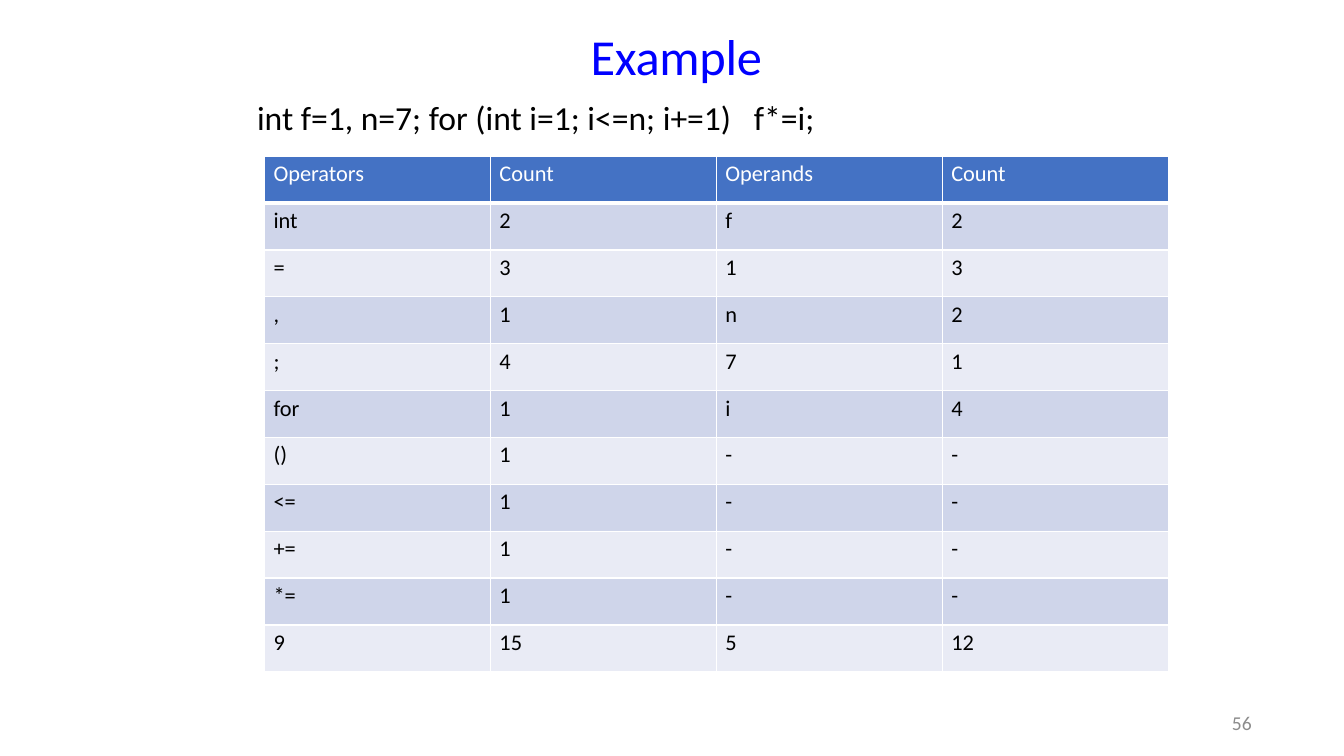
from lxml.etree import SubElement
from pptx import Presentation
from pptx.dml.color import RGBColor
from pptx.enum.text import MSO_ANCHOR, PP_ALIGN
from pptx.oxml.ns import qn
from pptx.util import Pt

COLORS = {
    "title": "0000FF",
    "text": "000000",
    "number": "8C8C8C",
    "white": "FFFFFF",
    "header": "4472C4",
    "odd": "CFD5EA",
    "even": "E9EBF5",
}

ROWS = [
    ("Operators", "Count", "Operands", "Count"),
    ("int", "2", "f", "2"),
    ("=", "3", "1", "3"),
    (",", "1", "n", "2"),
    (";", "4", "7", "1"),
    ("for", "1", "i", "4"),
    ("()", "1", "-", "-"),
    ("<=", "1", "-", "-"),
    ("+=", "1", "-", "-"),
    ("*=", "1", "-", "-"),
    ("9", "15", "5", "12"),
]


class SlideBuilder:
    """Adds styled text and tables to one slide."""

    font = "Calibri"

    def __init__(self, slide):
        self.slide = slide

    def color(self, name):
        return RGBColor.from_string(COLORS[name])

    def run(self, p, text, size, color, spacing=0):
        r = p.add_run()
        r.text = text
        r.font.name = self.font
        r.font.size = Pt(size)
        r.font.color.rgb = self.color(color)
        if spacing:
            r.font._element.set("spc", str(round(spacing * 100)))

    def text(self, box, text, size, color, align=PP_ALIGN.LEFT,
             anchor=MSO_ANCHOR.MIDDLE, spacing=0):
        sp = self.slide.shapes.add_textbox(*map(Pt, box))
        tf = sp.text_frame
        tf.word_wrap = True
        tf.vertical_anchor = anchor
        tf.margin_left = tf.margin_top = tf.margin_right = tf.margin_bottom = 0
        p = tf.paragraphs[0]
        p.alignment = align
        self.run(p, text, size, color, spacing)

    def borders(self, cell, bottom):
        tcPr = cell._tc.get_or_add_tcPr()
        widths = {"a:lnL": 1, "a:lnR": 1, "a:lnT": 1, "a:lnB": bottom}
        for i, (tag, width) in enumerate(widths.items()):
            ln = SubElement(tcPr, qn(tag), w=str(Pt(width)))
            fill = SubElement(ln, qn("a:solidFill"))
            SubElement(fill, qn("a:srgbClr"), val=COLORS["white"])
            tcPr.insert(i, ln)

    def table(self, left, top, col_width, row_height, rows):
        cols = len(rows[0])
        frame = self.slide.shapes.add_table(
            len(rows), cols, Pt(left), Pt(top),
            Pt(col_width * cols), Pt(row_height * len(rows)))
        table = frame.table
        for col in table.columns:
            col.width = Pt(col_width)
        for i, values in enumerate(rows):
            table.rows[i].height = Pt(row_height)
            fill = "header" if i == 0 else "odd" if i % 2 else "even"
            for j, value in enumerate(values):
                cell = table.cell(i, j)
                cell.margin_left = cell.margin_right = Pt(6.5)
                cell.margin_top = cell.margin_bottom = Pt(3)
                cell.fill.solid()
                cell.fill.fore_color.rgb = self.color(fill)
                self.borders(cell, 1 if i else 3)
                self.run(cell.text_frame.paragraphs[0], value, 16,
                         "text" if i else "white")


def main():
    prs = Presentation()
    prs.slide_width, prs.slide_height = Pt(960), Pt(540)
    s = SlideBuilder(prs.slides.add_slide(prs.slide_layouts[6]))
    s.text((183.6, 17.3, 599, 44), "Example", 36, "title",
           PP_ALIGN.CENTER, spacing=-0.2)
    s.text((678.2, 507.6, 216, 17.3), "56", 14, "number", PP_ALIGN.RIGHT)
    s.text((183.6, 69.1, 591, 77.8),
           "int f=1, n=7; for (int i=1; i<=n; i+=1)   f*=i;",
           24, "text", anchor=MSO_ANCHOR.TOP)
    s.table(188.9, 111.6, 161.4, 33.5, ROWS)
    prs.save("out.pptx")


if __name__ == "__main__":
    main()
